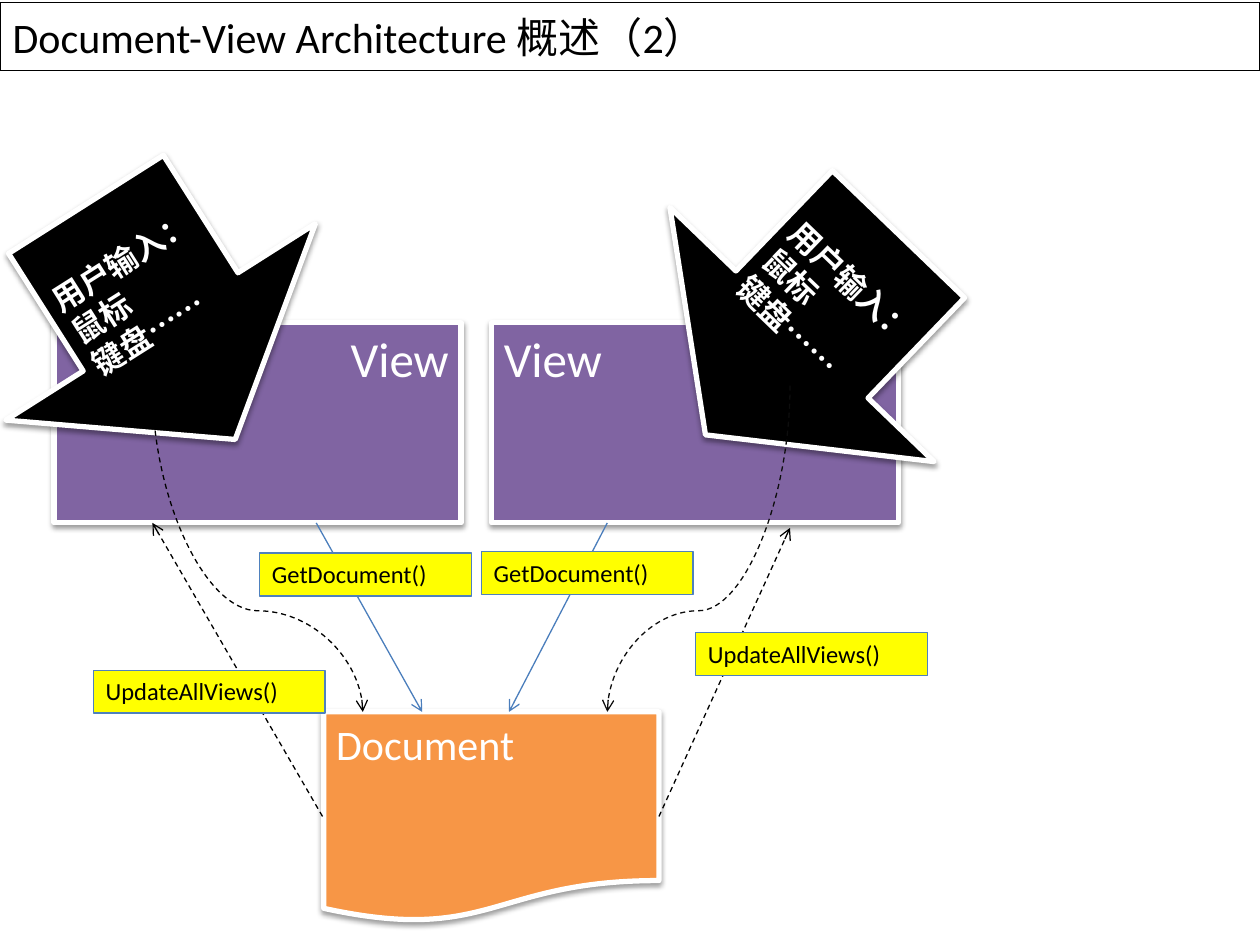
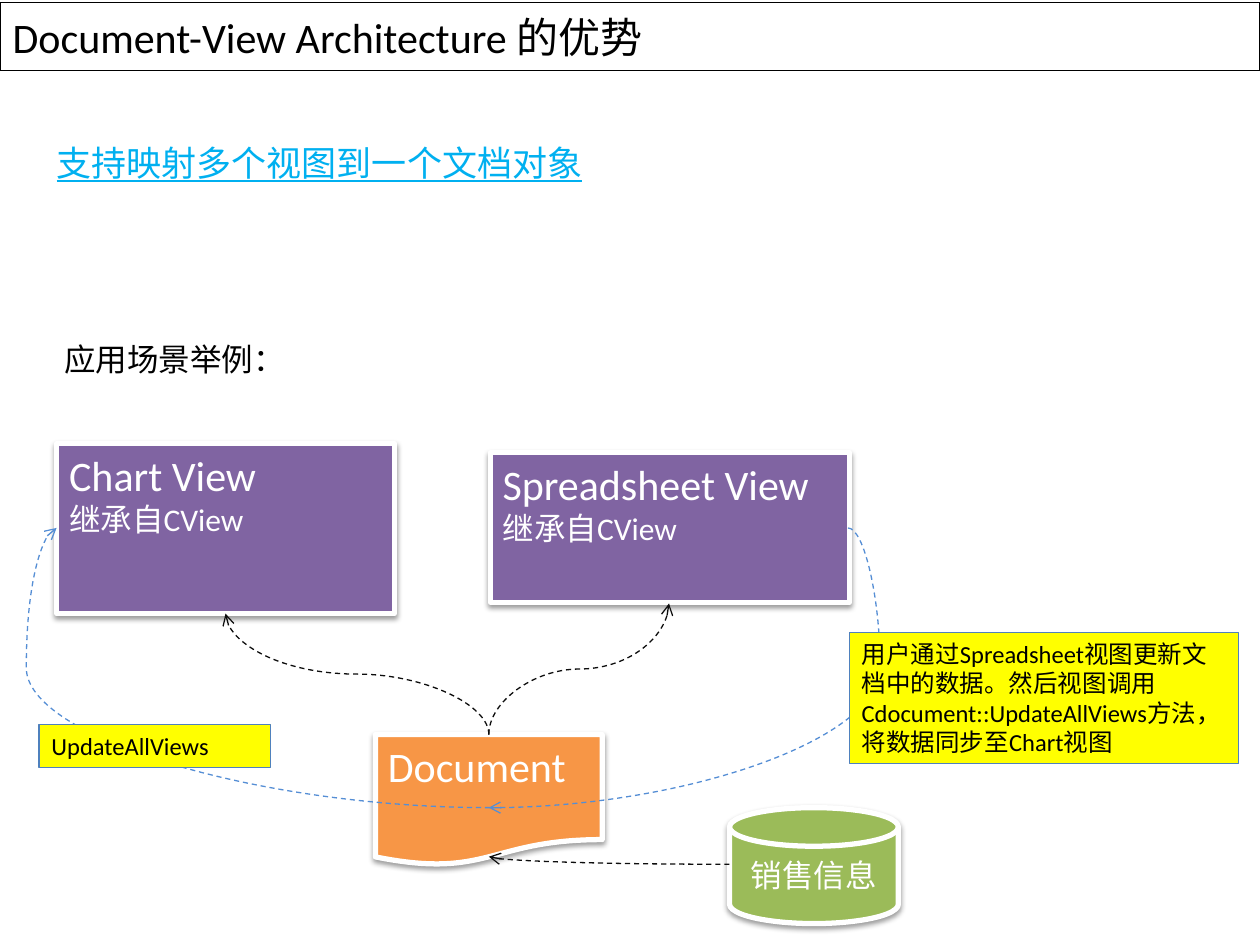
"""Builds two slides on the document-view architecture."""
from lxml import etree
from pptx import Presentation
from pptx.dml.color import RGBColor
from pptx.enum.dml import MSO_LINE
from pptx.enum.shapes import MSO_CONNECTOR, MSO_SHAPE
from pptx.enum.text import MSO_ANCHOR, PP_ALIGN
from pptx.oxml.ns import qn
from pptx.util import Inches, Pt

RECT = MSO_SHAPE.RECTANGLE
PAGE = MSO_SHAPE.FLOWCHART_DOCUMENT
DISK = MSO_SHAPE.FLOWCHART_MAGNETIC_DISK
DOWN_ARROW = MSO_SHAPE.DOWN_ARROW
STRAIGHT, CURVE = MSO_CONNECTOR.STRAIGHT, MSO_CONNECTOR.CURVE
DASH = MSO_LINE.DASH
LEFT, CENTER, RIGHT = PP_ALIGN.LEFT, PP_ALIGN.CENTER, PP_ALIGN.RIGHT
TOP, MIDDLE = MSO_ANCHOR.TOP, MSO_ANCHOR.MIDDLE

BLACK = RGBColor(0x00, 0x00, 0x00)
INK = RGBColor(0x0D, 0x0D, 0x0D)
WHITE = RGBColor(0xFF, 0xFF, 0xFF)
PURPLE = RGBColor(0x80, 0x64, 0xA2)
ORANGE = RGBColor(0xF7, 0x96, 0x46)
GREEN = RGBColor(0x9B, 0xBB, 0x59)
YELLOW = RGBColor(0xFF, 0xFF, 0x00)
LABEL_EDGE = RGBColor(0x4F, 0x81, 0xBD)
CALL_BLUE = RGBColor(0x4B, 0x7E, 0xBC)
SYNC_BLUE = RGBColor(0x55, 0x8E, 0xD5)
SKY = RGBColor(0x00, 0xB0, 0xF0)

FONT = "Calibri"
THIN, THICK = 0.75, 3
GET_SIZE, UPDATE_SIZE = (1.68, 0.34), (1.84, 0.34)
USER_INPUT = [("用户输入：", 18), ("鼠标", 18), ("键盘……", 18)]

OVERVIEW = {
    "title": "Document-View Architecture 概述（2）",
    "blocks": [
        (RECT, (0.43, 2.56, 3.23, 1.59), PURPLE, [("View", 28)], RIGHT, TOP),
        (RECT, (3.9, 2.56, 3.23, 1.59), PURPLE, [("View", 28)], LEFT, TOP),
        (PAGE, (2.57, 5.65, 2.66, 1.67), ORANGE, [("Document", 24)], LEFT, TOP),
    ],
    "lines": [
        ((2.51, 4.15), (3.35, 5.65), CALL_BLUE, False),
        ((4.82, 4.15), (4.04, 5.65), CALL_BLUE, False),
        ((2.56, 6.48), (1.21, 4.15), BLACK, True),
        ((5.23, 6.48), (6.27, 4.19), BLACK, True),
    ],
    "labels": [
        ((2.06, 4.39, *GET_SIZE), "GetDocument()"),
        ((3.82, 4.38, *GET_SIZE), "GetDocument()"),
        ((0.74, 5.32, *UPDATE_SIZE), "UpdateAllViews()"),
        ((5.52, 5.02, *UPDATE_SIZE), "UpdateAllViews()"),
    ],
    "inputs": [((4.91, 1.55), 43.9), ((-0.18, 1.45), 327.6)],
    "curves": [
        ((6.27, 3.06), (4.82, 5.65), INK, True, 0.69),
        ((1.21, 3.06), (2.88, 5.65), BLACK, True, 0.69),
    ],
}

ADVANTAGES = {
    "title": "Document-View Architecture 的优势",
    "blocks": [
        (RECT, (0.45, 3.52, 2.68, 1.35), PURPLE,
         [("Chart View", 24), ("继承自CView", 18)], LEFT, TOP),
        (RECT, (3.89, 3.59, 2.85, 1.19), PURPLE,
         [("Spreadsheet View", 24), ("继承自CView", 18)], LEFT, TOP),
        (PAGE, (2.98, 5.83, 1.8, 1.04), ORANGE, [("Document", 24)], LEFT, TOP),
        (DISK, (5.79, 6.41, 1.34, 0.92), GREEN, [("销售信息", 18)], CENTER, MIDDLE),
    ],
    "curves": [
        ((5.79, 6.86), (3.88, 6.8), INK, False, None),
        ((3.88, 5.83), (1.79, 4.87), INK, True, 0.5),
        ((3.88, 5.83), (5.31, 4.79), INK, True, 0.5),
        ((6.73, 4.19), (3.88, 6.41), SYNC_BLUE, False, -0.09),
        ((3.89, 6.41), (0.45, 4.19), SYNC_BLUE, False, 1.07),
    ],
    "labels": [
        ((0.31, 5.75, *UPDATE_SIZE), "UpdateAllViews"),
        ((6.74, 5.02, 3.09, 1.04),
         "用户通过Spreadsheet视图更新文档中的数据。然后视图调用"
         "Cdocument::UpdateAllViews方法，将数据同步至Chart视图"),
    ],
    "texts": [
        ((0.35, 1.07, 8.98, 0.77), "支持映射多个视图到一个文档对象", 20, SKY, True),
        ((0.41, 2.65, 8.98, 0.4), "应用场景举例：", 18, BLACK, False),
    ],
}


def write(shape, lines, color, align=LEFT, anchor=TOP, bold=False, underline=False):
    frame = shape.text_frame
    frame.word_wrap = True
    frame.vertical_anchor = anchor
    frame.text = "\n".join(text for text, _ in lines)
    for paragraph, (_, size) in zip(frame.paragraphs, lines):
        paragraph.alignment = align
        for run in paragraph.runs:
            font = run.font
            font.name, font.size, font.bold = FONT, Pt(size), bold
            font.underline = underline
            font.color.rgb = color


def outline(shape, color, width):
    shape.line.color.rgb = color
    shape.line.width = Pt(width)


def add_filled(slide, kind, box, fill, edge, width):
    shape = slide.shapes.add_shape(kind, *map(Inches, box))
    shape.shadow.inherit = False
    shape.fill.solid()
    shape.fill.fore_color.rgb = fill
    outline(shape, edge, width)
    return shape


def add_block(slide, kind, box, fill, lines, align, anchor, bold=False):
    shape = add_filled(slide, kind, box, fill, WHITE, THICK)
    effects = shape._element.spPr.find(qn("a:effectLst"))
    shadow = etree.SubElement(effects, qn("a:outerShdw"), blurRad=str(Pt(3.1)),
                              dist=str(Pt(1.6)), dir="5400000", rotWithShape="0")
    tint = etree.SubElement(shadow, qn("a:srgbClr"), val=str(BLACK))
    etree.SubElement(tint, qn("a:alpha"), val="38000")
    write(shape, lines, WHITE, align, anchor, bold)
    return shape


def add_label(slide, box, text):
    label = add_filled(slide, RECT, box, YELLOW, LABEL_EDGE, THIN)
    write(label, [(text, 14)], BLACK)


def add_link(slide, kind, start, end, color, dashed):
    link = slide.shapes.add_connector(kind, *map(Inches, (*start, *end)))
    outline(link, color, THIN)
    if dashed:
        link.line.dash_style = DASH
    etree.SubElement(link.line._get_or_add_ln(), qn("a:tailEnd"), type="arrow")
    etree.SubElement(link._element.spPr, qn("a:effectLst"))
    return link


def add_curve(slide, start, end, color, vertical, bend):
    """Curve leaving sideways, or turned a quarter when it leaves vertically."""
    if vertical:
        mid_x, mid_y = (start[0] + end[0]) / 2, (start[1] + end[1]) / 2
        half_w, half_h = (end[1] - start[1]) / 2, (start[0] - end[0]) / 2
        start = mid_x - half_w, mid_y - half_h
        end = mid_x + half_w, mid_y + half_h
    properties = add_link(slide, CURVE, start, end, color, True)._element.spPr
    if vertical:
        properties.find(qn("a:xfrm")).set("rot", "5400000")
    geometry = properties.find(qn("a:prstGeom"))
    if bend is None:
        geometry.set("prst", "curvedConnector2")
        return
    guides = geometry.find(qn("a:avLst"))
    if guides is None:
        guides = etree.SubElement(geometry, qn("a:avLst"))
    etree.SubElement(guides, qn("a:gd"), name="adj1", fmla=f"val {round(bend * 100000)}")


def add_slide(deck, content):
    slide = deck.slides.add_slide(deck.slide_layouts[5])
    title = slide.shapes.title
    title.left, title.top, title.width, title.height = map(Inches, (0, 0.02, 10, 0.54))
    outline(title, BLACK, THIN)
    write(title, [(content["title"], 24)], BLACK, anchor=MIDDLE)
    for block in content["blocks"]:
        add_block(slide, *block)
    for start, end, color, dashed in content.get("lines", []):
        add_link(slide, STRAIGHT, start, end, color, dashed)
    return slide


def add_overview(deck):
    slide = add_slide(deck, OVERVIEW)
    for label in OVERVIEW["labels"]:
        add_label(slide, *label)
    for corner, angle in OVERVIEW["inputs"]:
        arrow = add_block(slide, DOWN_ARROW, (*corner, 2.91, 2.21), BLACK,
                          USER_INPUT, LEFT, MIDDLE, bold=True)
        arrow.rotation = angle
    for curve in OVERVIEW["curves"]:
        add_curve(slide, *curve)


def add_advantages(deck):
    slide = add_slide(deck, ADVANTAGES)
    for box, text, size, color, underline in ADVANTAGES["texts"]:
        textbox = slide.shapes.add_textbox(*map(Inches, box))
        write(textbox, [(text, size)], color, underline=underline)
    for curve in ADVANTAGES["curves"]:
        add_curve(slide, *curve)
    for label in ADVANTAGES["labels"]:
        add_label(slide, *label)


deck = Presentation()
deck.slide_width, deck.slide_height = Inches(10), Inches(7.5)
add_overview(deck)
add_advantages(deck)
deck.save("out.pptx")
